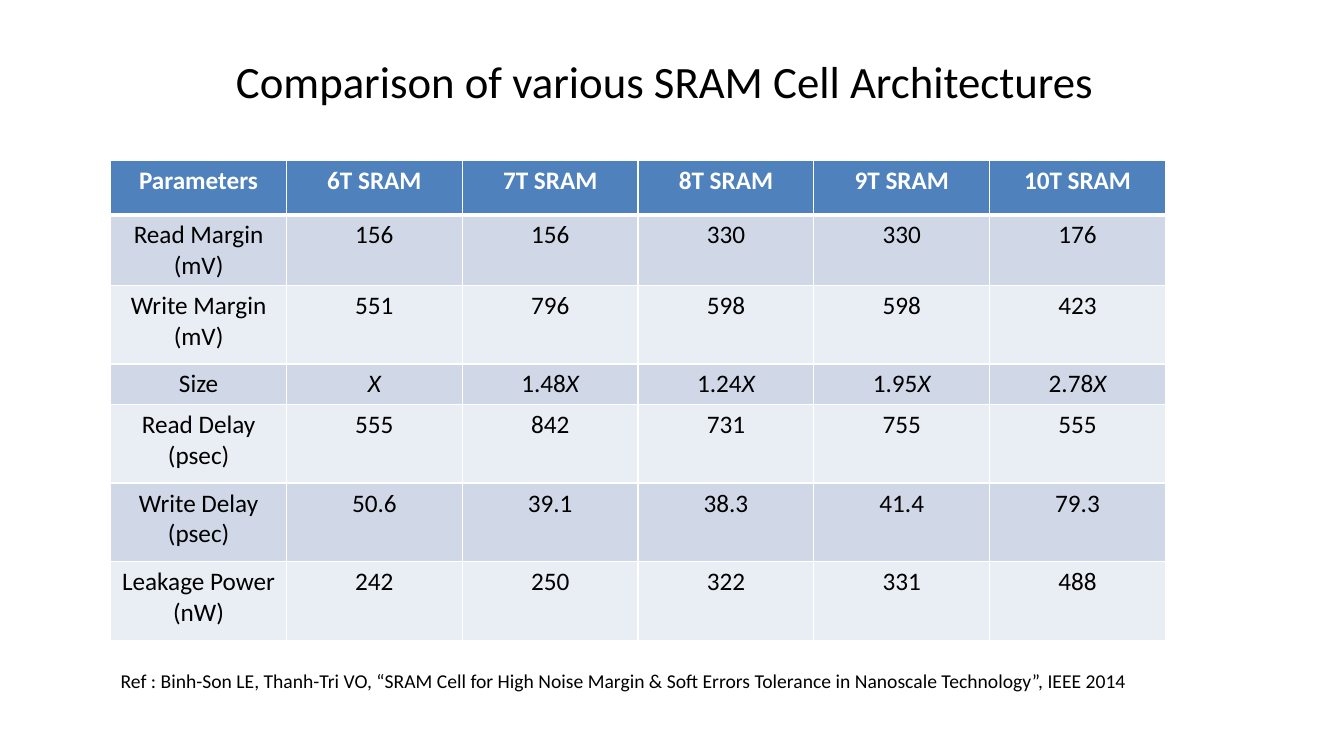
from lxml.etree import SubElement
from pptx import Presentation
from pptx.dml.color import RGBColor
from pptx.enum.text import MSO_ANCHOR as Anchor, MSO_AUTO_SIZE as AutoSize, PP_ALIGN as Align
from pptx.oxml.ns import qn
from pptx.util import Cm, Pt

BLACK = RGBColor(0x00, 0x00, 0x00)
WHITE = RGBColor(0xFF, 0xFF, 0xFF)
HEADER_BLUE = RGBColor(0x4F, 0x81, 0xBD)
BAND_DARK = RGBColor(0xD0, 0xD8, 0xE8)
BAND_LIGHT = RGBColor(0xE9, 0xED, 0xF4)
FONT = "Calibri"
LEFT = Cm(2.79)
COLUMN_WIDTH = Cm(4.43)
ROW_HEIGHTS = [Cm(height) for height in (1.37, 1.78, 1.98, 1.02, 1.98, 1.98, 1.98)]

COMPARISON = [
    ["Parameters", "6T SRAM", "7T SRAM", "8T SRAM", "9T SRAM", "10T SRAM"],
    ["Read Margin (mV)", "156", "156", "330", "330", "176"],
    ["Write Margin\n(mV)", "551", "796", "598", "598", "423"],
    ["Size", "X", "1.48X", "1.24X", "1.95X", "2.78X"],
    ["Read Delay\n(psec)", "555", "842", "731", "755", "555"],
    ["Write Delay\n(psec)", "50.6", "39.1", "38.3", "41.4", "79.3"],
    ["Leakage Power\n(nW)", "242", "250", "322", "331", "488"],
]
REFERENCE = (
    "Ref : Binh-Son LE, Thanh-Tri VO, “SRAM Cell for High Noise Margin & Soft Errors "
    "Tolerance in Nanoscale Technology”, IEEE 2014"
)


def format_text(frame, size, color, align, bold=False):
    for para in frame.paragraphs:
        para.alignment = align
        for span in para.runs:
            span.font.name = FONT
            span.font.size = Pt(size)
            span.font.bold = bold
            span.font.color.rgb = color


def place(shape, left, top, width, height):
    shape.left, shape.top, shape.width, shape.height = left, top, width, height


def add_title(page, text):
    title = page.shapes.title
    place(title, LEFT, Cm(0), Cm(27.94), Cm(4.04))
    frame = title.text_frame
    frame.text = text
    frame.vertical_anchor = Anchor.MIDDLE
    frame.margin_left = frame.margin_right = Cm(0.33)
    frame.margin_top = frame.margin_bottom = Cm(0.18)
    format_text(frame, 32, BLACK, Align.CENTER)


def add_reference(page, text):
    box = page.shapes.add_textbox(LEFT, Cm(16.74), Cm(30.2), Cm(0.86))
    frame = box.text_frame
    frame.word_wrap = True
    frame.auto_size = AutoSize.SHAPE_TO_FIT_TEXT
    frame.text = text
    format_text(frame, 14, BLACK, Align.LEFT)


def set_borders(cell, widths):
    properties = cell._tc.get_or_add_tcPr()
    for side, width in widths.items():
        line = SubElement(properties, qn(f"a:ln{side}"), w=str(Pt(width)))
        fill = SubElement(line, qn("a:solidFill"))
        SubElement(fill, qn("a:srgbClr"), val=str(WHITE))


def write_cell(cell, text, is_header):
    frame = cell.text_frame
    if text.endswith("X"):
        para = frame.paragraphs[0]
        if text != "X":
            para.add_run().text = text[:-1]
        factor = para.add_run()
        factor.text = "X"
        factor.font.italic = True
    else:
        frame.text = text
    format_text(frame, 18, WHITE if is_header else BLACK, Align.CENTER, is_header)


def add_comparison(page, rows):
    columns = len(rows[0])
    table = page.shapes.add_table(
        len(rows), columns, LEFT, Cm(4.04), COLUMN_WIDTH * columns, sum(ROW_HEIGHTS)
    ).table
    for column in table.columns:
        column.width = COLUMN_WIDTH
    for row_index, values in enumerate(rows):
        is_header = row_index == 0
        band = BAND_DARK if row_index % 2 else BAND_LIGHT
        table.rows[row_index].height = ROW_HEIGHTS[row_index]
        for column_index, text in enumerate(values):
            cell = table.cell(row_index, column_index)
            write_cell(cell, text, is_header)
            top = 3 if row_index == 1 else 1
            bottom = 3 if is_header else 1
            set_borders(cell, {"L": 1, "R": 1, "T": top, "B": bottom})
            cell.fill.solid()
            cell.fill.fore_color.rgb = HEADER_BLUE if is_header else band


def main():
    deck = Presentation()
    deck.slide_width, deck.slide_height = Cm(33.87), Cm(19.05)
    page = deck.slides.add_slide(deck.slide_layouts[5])
    add_title(page, "Comparison of various SRAM Cell Architectures")
    add_reference(page, REFERENCE)
    add_comparison(page, COMPARISON)
    deck.save("out.pptx")


if __name__ == "__main__":
    main()
